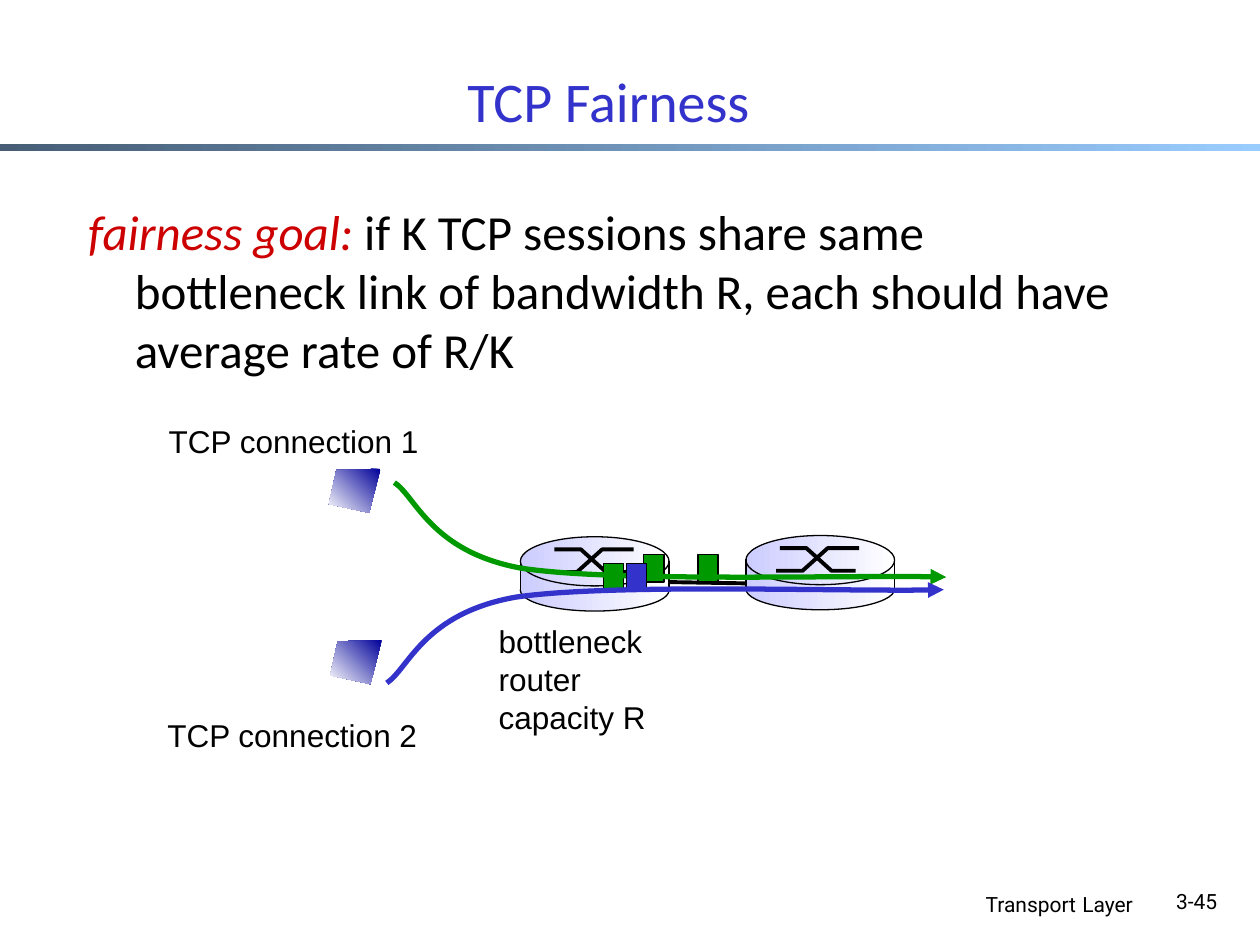
from lxml import etree
from pptx import Presentation
from pptx import util as u
from pptx.dml import color
from pptx.enum import shapes, text
from pptx.oxml import ns

BLACK, GREEN, BLUE = "000000", "009900", "3333CC"
PALE = ("CCCCFF", "FFFFFF")
KIND = shapes.MSO_SHAPE


def rgb(value):
    return color.RGBColor.from_string(value)


def paint(shape, fill=None, angle=0, line=None, width=0.75):
    shape.shadow.inherit = False
    if fill is None:
        shape.fill.background()
    elif isinstance(fill, tuple):
        shape.fill.gradient()
        shape.fill.gradient_angle = angle
        for place, (stop, tone) in enumerate(zip(shape.fill.gradient_stops, fill)):
            stop.position = place
            stop.color.rgb = rgb(tone)
    else:
        shape.fill.solid()
        shape.fill.fore_color.rgb = rgb(fill)
    if line:
        shape.line.color.rgb = rgb(line)
        shape.line.width = u.Pt(width)
    else:
        shape.line.fill.background()
    return shape


def block(tree, kind, box, **look):
    return paint(tree.add_shape(kind, *map(u.Inches, box)), **look)


def wire(tree, start, end, width):
    line = tree.add_connector(shapes.MSO_CONNECTOR.STRAIGHT,
                              *map(u.Inches, (*start, *end)))
    line.line.color.rgb = rgb(BLACK)
    line.line.width = u.Pt(width)
    etree.SubElement(line._element.spPr, ns.qn("a:effectLst"))


def trace(tree, points, close=False, **look):
    spots = [(u.Inches(x), u.Inches(y)) for x, y in points]
    pen = tree.build_freeform(*spots[0])
    pen.add_line_segments(spots[1:], close=close)
    return paint(pen.convert_to_shape(), **look)


def style(run, font, size, tone=BLACK, slant=False):
    run.font.name = font
    run.font.size = u.Pt(size)
    run.font.color.rgb = rgb(tone)
    run.font.italic = slant


def label(slide, box, words, font="Arial", size=18, wrap=False, align=None):
    shape = slide.shapes.add_textbox(*map(u.Inches, box))
    frame = shape.text_frame
    frame.word_wrap = wrap
    frame.auto_size = (text.MSO_AUTO_SIZE.NONE if wrap
                       else text.MSO_AUTO_SIZE.SHAPE_TO_FIT_TEXT)
    frame.text = words
    for para in frame.paragraphs:
        para.alignment = align
        for run in para.runs:
            style(run, font, size)
    return frame


def place(holder, box):
    holder.left, holder.top, holder.width, holder.height = map(u.Inches, box)
    holder.text_frame.auto_size = text.MSO_AUTO_SIZE.NONE
    return holder.text_frame


def header(slide, box):
    block(slide.shapes, KIND.RECTANGLE, (0, 1.14, 10, 0.06),
          fill=("475E76", "99CCFF"))
    frame = place(slide.shapes.title, box)
    frame.text = "TCP Fairness"
    frame.vertical_anchor = text.MSO_ANCHOR.MIDDLE
    frame.paragraphs[0].alignment = text.PP_ALIGN.CENTER
    style(frame.paragraphs[0].runs[0], "Calibri", 32, BLUE)


def goal(slide, box):
    para = place(slide.placeholders[1], box).paragraphs[0]
    props = para._p.get_or_add_pPr()
    props.set("marL", str(u.Inches(0.37)))
    props.set("indent", str(-u.Inches(0.37)))
    etree.SubElement(props, ns.qn("a:buNone"))
    para.space_before = u.Pt(0)
    for words, tone, slant in (
        ("fairness goal:", "CC0000", True),
        (" if K TCP sessions share same bottleneck link of bandwidth R, "
         "each should have average rate of R/K", BLACK, False),
    ):
        run = para.add_run()
        run.text = words
        style(run, "Calibri", 28, tone, slant)


def router(slide, x, y):
    tree = slide.shapes.add_group_shape().shapes
    wide = 1.18
    block(tree, KIND.OVAL, (x, y + 0.26, wide, 0.33), fill=PALE, line=BLACK)
    block(tree, KIND.RECTANGLE, (x, y + 0.23, wide, 0.2), fill=PALE)
    block(tree, KIND.OVAL, (x, y, wide, 0.39), fill=PALE, line=BLACK)
    high, low = y + 0.1, y + 0.28
    for steps, start, end in (((0.24, 0.45, 0.65, 0.9), low, high),
                              ((0.27, 0.48, 0.68, 0.87), high, low)):
        levels = (start, start, end, end)
        trace(tree, [(x + step, level) for step, level in zip(steps, levels)],
              line=BLACK, width=2.25)
    for side in (x, x + wide):
        wire(tree, (side, y + 0.19), (side, y + 0.44), 0.75)


def packet(slide, x, y, tone):
    block(slide.shapes, KIND.RECTANGLE, (x, y, 0.16, 0.22), fill=tone, line=BLACK)


def flow(slide, points, tone):
    shape = trace(slide.shapes, points, line=tone, width=3)
    legs = list(shape._element.iter(ns.qn("a:lnTo")))
    for first in range(0, len(legs), 3):
        curve = etree.Element(ns.qn("a:cubicBezTo"))
        legs[first].addprevious(curve)
        for leg in legs[first:first + 3]:
            curve.append(leg[0])
            leg.getparent().remove(leg)
    edge = shape._element.spPr.find(ns.qn("a:ln"))
    etree.SubElement(edge, ns.qn("a:tailEnd")).set("type", "triangle")


def screen(slide, x, y):
    corners = ((0.41, 0), (0.06, 0.01), (0, 0.28), (0.32, 0.35))
    trace(slide.shapes, [(x + dx, y + dy) for dx, dy in corners], close=True,
          fill=("000099", "FFFFFF"), angle=225)


def network(slide, x, y):
    wire(slide.shapes, (x + 2.7, y + 0.9), (x + 3.31, y + 0.91), 2.25)
    router(slide, x + 1.52, y + 0.54)
    router(slide, x + 3.31, y + 0.53)
    for dx, dy in ((2.93, 0.68), (2.18, 0.75), (2.5, 0.68)):
        packet(slide, x + dx, y + dy, GREEN)
    upper = ((0.52, 0.11), (0.69, 0.22), (0.81, 0.66), (1.53, 0.79),
             (2.26, 0.9), (4.2, 0.84), (4.9, 0.86))
    lower = ((0.46, 1.7), (0.63, 1.59), (0.75, 1.15), (1.48, 1.02),
             (2.22, 0.91), (4.18, 0.98), (4.88, 0.96))
    flow(slide, [(x + dx, y + dy) for dx, dy in upper], GREEN)
    packet(slide, x + 2.36, y + 0.75, BLUE)
    flow(slide, [(x + dx, y + dy) for dx, dy in lower], BLUE)
    screen(slide, x, y)
    screen(slide, x + 0.01, y + 1.36)
    label(slide, (x - 1.37, y - 0.42, 2.19, 0.4), "TCP connection 1")
    label(slide, (x - 1.38, y + 1.91, 2.19, 0.4), "TCP connection 2")
    label(slide, (x + 1.25, y + 1.17, 1.37, 1), "bottleneck\nrouter\ncapacity R")


def footer(slide, y):
    right = text.PP_ALIGN.RIGHT
    frame = label(slide, (5.92, y, 3.17, 0.5), "Transport", "Roboto", 12, True, right)
    for words, size in ((" ", 14), ("Layer", 12)):
        run = frame.paragraphs[0].add_run()
        run.text = words
        style(run, "Roboto", size)
    label(slide, (9.08, y, 0.68, 0.5), "3-45", "Roboto", 12, True, right)


def main():
    deck = Presentation()
    deck.slide_width, deck.slide_height = u.Inches(10), u.Inches(7.5)
    slide = deck.slides.add_slide(deck.slide_layouts[1])
    header(slide, (0.58, 0.17, 8.5, 1.25))
    goal(slide, (0.6, 1.55, 8.33, 2.4))
    network(slide, 2.61, 3.72)
    footer(slide, 7)
    deck.save("out.pptx")


if __name__ == "__main__":
    main()
